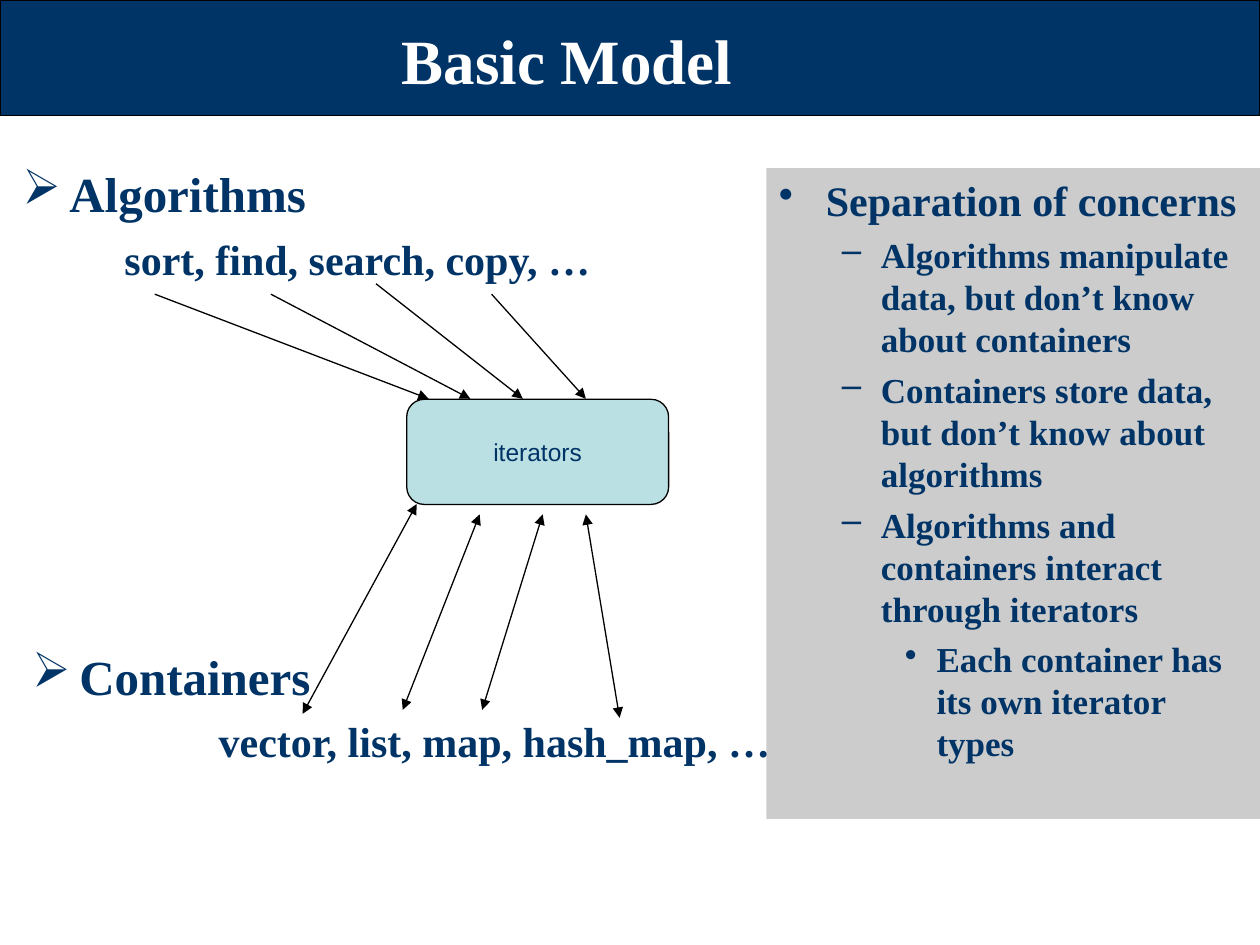
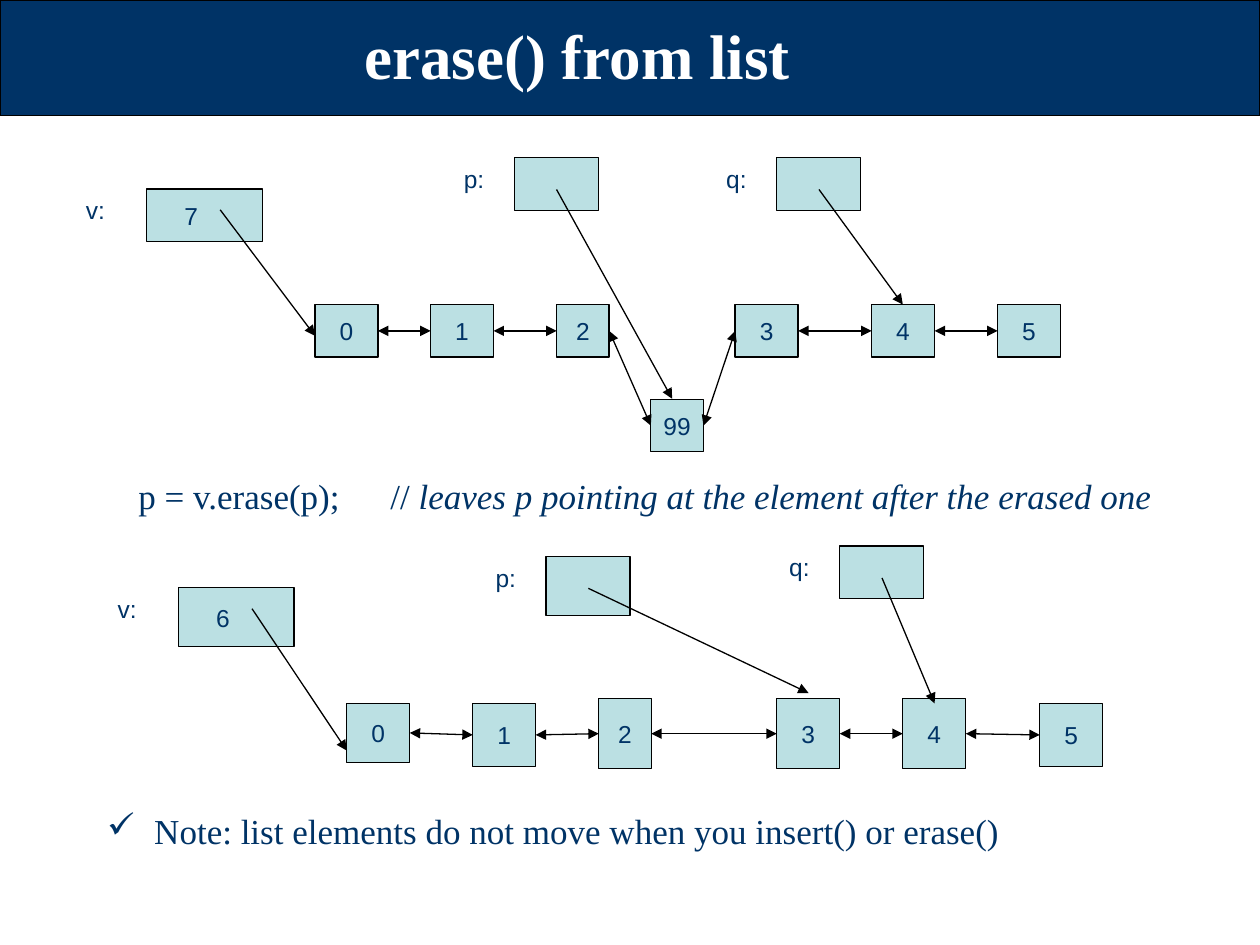
from dataclasses import dataclass
from itertools import pairwise

import lxml.etree
import pptx
import pptx.dml.color
import pptx.enum.shapes
import pptx.enum.text
import pptx.oxml.ns
import pptx.util

Cm = pptx.util.Cm
Pt = pptx.util.Pt
RGBColor = pptx.dml.color.RGBColor
Shapes = pptx.enum.shapes.MSO_SHAPE
Align = pptx.enum.text.PP_ALIGN
Anchor = pptx.enum.text.MSO_ANCHOR
qn = pptx.oxml.ns.qn

NAVY = RGBColor(0x00, 0x33, 0x66)
AQUA = RGBColor(0xBB, 0xE0, 0xE3)
GREY = RGBColor(0xCC, 0xCC, 0xCC)
BLACK = RGBColor(0x00, 0x00, 0x00)
WHITE = RGBColor(0xFF, 0xFF, 0xFF)
SERIF, SANS = "Times New Roman", "Arial"
SLIDE_W, SLIDE_H = 25.4, 19.05
TEXT_W = 22.86
LINE_W = Pt(0.75)
INSET = 0.25
COUNT_INSET = 0.79  # pushes the element count left of its arrow


# All positions and sizes below are in centimetres
@dataclass
class Box:
    left: float
    top: float
    width: float
    height: float

    @property
    def middle(self) -> float:
        return self.top + self.height / 2

    @property
    def right(self) -> float:
        return self.left + self.width


@dataclass
class Run:
    text: str
    size: int
    font: str = SERIF
    bold: bool = False
    italic: bool = False
    color: RGBColor = NAVY


@dataclass
class Para:
    runs: list[Run]
    margin: float = 0
    indent: float = 0
    bullet: str = ""
    before: float = 0
    spacing: float = 1
    align: Align = Align.LEFT
    tab: float = 0


@dataclass
class Arrow:
    x1: float
    y1: float
    x2: float
    y2: float
    both_ends: bool = False


@dataclass
class Node:
    text: str
    box: Box


@dataclass
class Pointer:
    """A labelled box with an arrow to a list node."""
    name: str
    left: float
    top: float
    height: float
    target: tuple[float, float]
    count: str = ""


@dataclass
class ListState:
    pointers: list[Pointer]
    nodes: list[Node]


# Drawing helpers
def write(sp, paras: list[Para], anchor=Anchor.TOP, wrap: bool = True,
          right_inset: float = INSET) -> None:
    tf = sp.text_frame
    tf.word_wrap = wrap
    tf.vertical_anchor = anchor
    tf.margin_right = Cm(right_inset)
    for i, para in enumerate(paras):
        p = tf.paragraphs[0] if i == 0 else tf.add_paragraph()
        p.alignment = para.align
        p.line_spacing = para.spacing
        p.space_before = Pt(para.before)
        pPr = p._p.get_or_add_pPr()
        pPr.set("marL", str(Cm(para.margin)))
        pPr.set("indent", str(Cm(para.indent)))
        if para.bullet:
            lxml.etree.SubElement(pPr, qn("a:buChar"), char=para.bullet)
        if para.tab:
            tabs = lxml.etree.SubElement(pPr, qn("a:tabLst"))
            lxml.etree.SubElement(tabs, qn("a:tab"), pos=str(Cm(para.tab)), algn="l")
        for run in para.runs:
            r = p.add_run()
            r.text = run.text
            r.font.size = Pt(run.size)
            r.font.name = run.font
            r.font.bold = run.bold
            r.font.italic = run.italic
            r.font.color.rgb = run.color


def add_text(s, box: Box, paras: list[Para], anchor=Anchor.TOP) -> None:
    sp = s.shapes.add_textbox(Cm(box.left), Cm(box.top), Cm(box.width), Cm(box.height))
    write(sp, paras, anchor)


def add_box(s, box: Box, fill: RGBColor = AQUA, kind=Shapes.RECTANGLE,
            outlined: bool = True):
    sp = s.shapes.add_shape(kind, Cm(box.left), Cm(box.top), Cm(box.width), Cm(box.height))
    sp.shadow.inherit = False
    sp.fill.solid()
    sp.fill.fore_color.rgb = fill
    if outlined:
        sp.line.color.rgb = BLACK
        sp.line.width = LINE_W
    else:
        sp.line.fill.background()
    return sp


def add_caption(sp, text: str, right_inset: float = INSET) -> None:
    write(sp, [Para([Run(text, 14, SANS)], align=Align.CENTER)],
          Anchor.MIDDLE, wrap=False, right_inset=right_inset)


def add_arrow(s, arrow: Arrow) -> None:
    sp = s.shapes.add_connector(pptx.enum.shapes.MSO_CONNECTOR.STRAIGHT,
                                Cm(arrow.x1), Cm(arrow.y1), Cm(arrow.x2), Cm(arrow.y2))
    sp.line.color.rgb = BLACK
    sp.line.width = LINE_W
    ln = sp.line._get_or_add_ln()
    for end in ("headEnd", "tailEnd") if arrow.both_ends else ("tailEnd",):
        lxml.etree.SubElement(ln, qn(f"a:{end}"), type="triangle")
    lxml.etree.SubElement(sp._element.spPr, qn("a:effectLst"))


def add_titled_slide(prs, title: str, title_box: Box):
    s = prs.slides.add_slide(prs.slide_layouts[6])
    add_box(s, Box(0, 0, SLIDE_W, 2.33), NAVY)
    run = Run(title, 36, bold=True, color=WHITE)
    add_text(s, title_box, [Para([run], align=Align.CENTER)], Anchor.MIDDLE)
    return s


def add_pointer(s, ptr: Pointer) -> None:
    label_w, box_w, dx, dy = (1.48, 2.33, 1.48, 0.42) if ptr.count else (1.27, 1.69, 0.85, 0.64)
    add_text(s, Box(ptr.left, ptr.top, label_w, 0.86), [Para([Run(ptr.name, 14, SANS)])])
    box = Box(ptr.left + label_w, ptr.top, box_w, ptr.height)
    sp = add_box(s, box)
    if ptr.count:
        add_caption(sp, ptr.count, COUNT_INSET)
    add_arrow(s, Arrow(box.left + dx, box.top + dy, *ptr.target))


def add_list_state(s, state: ListState) -> None:
    for node in state.nodes:
        add_caption(add_box(s, node.box), node.text)
    for a, b in pairwise(node.box for node in state.nodes):
        add_arrow(s, Arrow(a.right, a.middle, b.left, b.middle, both_ends=True))
    for ptr in state.pointers:
        add_pointer(s, ptr)


# Paragraph levels of the model slide
def heading(text: str) -> Para:
    return Para([Run(text, 28, bold=True)], 0.95, -0.95, "➢", 7)


def examples(text: str, margin: float) -> Para:
    return Para([Run(text, 24, bold=True)], margin, before=6)


def concern(text: str) -> Para:
    return Para([Run(text, 20, bold=True)], 2.06, -0.79, "–", 5)


CONCERNS = [
    Para([Run("Separation of concerns", 24, bold=True)], 0.95, -0.95, "•", 6),
    concern("Algorithms manipulate data, but don’t know about containers"),
    concern("Containers store data, but don’t know about algorithms"),
    concern("Algorithms and containers interact through iterators"),
    Para([Run("Each container has its own iterator types", 20, bold=True)],
         3.18, -0.64, "•", 5),
]

MODEL_ARROWS = [
    # algorithms to iterators
    Arrow(3.12, 5.93, 8.64, 8.04),
    Arrow(5.46, 5.93, 9.48, 8.04),
    Arrow(7.58, 5.72, 10.54, 8.04),
    Arrow(9.91, 5.93, 11.81, 8.04),
    # containers to and from iterators
    Arrow(12.49, 14.47, 11.81, 10.37, True),
    Arrow(9.72, 14.31, 10.94, 10.37, True),
    Arrow(8.12, 14.31, 9.67, 10.37, True),
    Arrow(6.10, 14.39, 8.40, 10.16, True),
]

BEFORE_ERASE = ListState(
    [Pointer("v:", 1.48, 3.81, 1.06, (6.35, 6.77), "7"),
     Pointer("p:", 9.10, 3.18, 1.06, (13.55, 8.04)),
     Pointer("q:", 14.39, 3.18, 1.06, (18.20, 6.14))],
    [Node("0", Box(6.35, 6.14, 1.27, 1.06)),
     Node("1", Box(8.68, 6.14, 1.27, 1.06)),
     Node("2", Box(11.22, 6.14, 1.06, 1.06)),
     Node("99", Box(13.12, 8.05, 1.06, 1.06)),
     Node("3", Box(14.82, 6.14, 1.27, 1.06)),
     Node("4", Box(17.57, 6.14, 1.27, 1.06)),
     Node("5", Box(20.11, 6.14, 1.27, 1.06))],
)

AFTER_ERASE = ListState(
    [Pointer("v:", 2.12, 11.85, 1.19, (6.99, 15.13), "6"),
     Pointer("p:", 9.74, 11.22, 1.19, (16.30, 13.97)),
     Pointer("q:", 15.66, 11.01, 1.06, (18.84, 14.18))],
    [Node("0", Box(6.99, 14.18, 1.27, 1.19)),
     Node("1", Box(9.53, 14.18, 1.27, 1.27)),
     Node("2", Box(12.07, 14.08, 1.06, 1.42)),
     Node("3", Box(15.66, 14.08, 1.27, 1.42)),
     Node("4", Box(18.20, 14.08, 1.27, 1.42)),
     Node("5", Box(20.96, 14.18, 1.27, 1.27))],
)


def build_model_slide(prs) -> None:
    s = add_titled_slide(prs, "Basic Model", Box(0, 0, TEXT_W, 2.38))
    add_text(s, Box(0.2, 3.18, TEXT_W, 3.81),
             [heading("Algorithms"), examples("sort, find, search, copy, …", 2.06)])
    sp = add_box(s, Box(8.2, 8.05, 5.28, 2.12), kind=Shapes.ROUNDED_RECTANGLE)
    add_caption(sp, "iterators")
    write(add_box(s, Box(15.45, 3.39, 9.95, 13.12), GREY, outlined=False), CONCERNS)
    for arrow in MODEL_ARROWS:
        add_arrow(s, arrow)
    add_text(s, Box(0.4, 12.91, TEXT_W, 3.25),
             [heading("Containers"), examples("vector, list, map, hash_map, …", 3.76)])


def build_erase_slide(prs) -> None:
    s = add_titled_slide(prs, "erase() from list", Box(0.21, 0, TEXT_W, 2.19))
    add_list_state(s, BEFORE_ERASE)
    code = [Run("p = v.erase(p);\t// ", 20),
            Run("leaves p pointing at the element after the erased one", 20, italic=True)]
    add_text(s, Box(2.54, 9.53, TEXT_W, 1.48), [Para(code, before=5, spacing=0.9, tab=6.03)])
    add_list_state(s, AFTER_ERASE)
    note = Run("Note: list elements do not move when you insert() or erase()", 20)
    add_text(s, Box(1.91, 16.3, TEXT_W, 1.06), [Para([note], 0.95, -0.95, "✓", 5, 0.9)])


def main() -> None:
    prs = pptx.Presentation()
    prs.slide_width, prs.slide_height = Cm(SLIDE_W), Cm(SLIDE_H)
    build_model_slide(prs)
    build_erase_slide(prs)
    prs.save("out.pptx")


if __name__ == "__main__":
    main()
